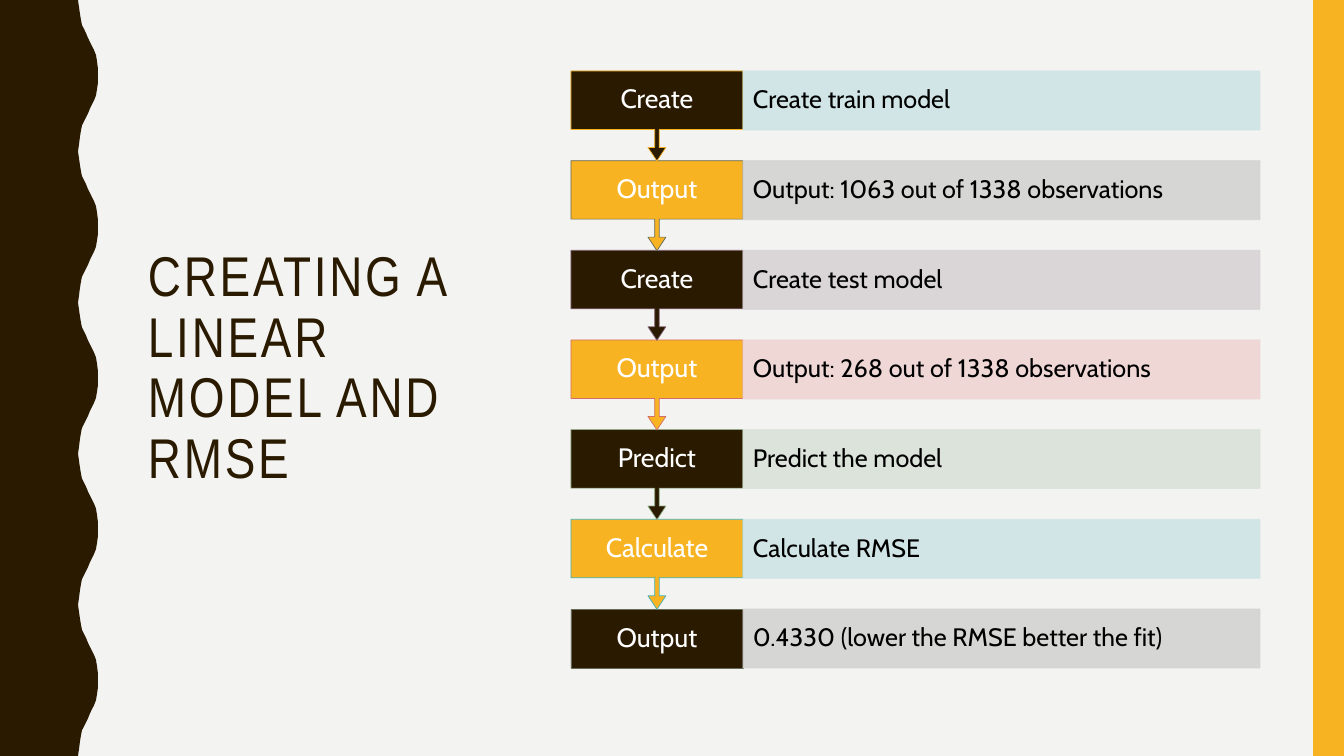
"""Build the slide on the steps from a linear model to its RMSE."""
from lxml import etree
from pptx import Presentation
from pptx import util as u
from pptx.dml.color import RGBColor
from pptx.enum import shapes, text
from pptx.oxml import ns

WIDE, HIGH = 1344, 756
EMU = 12192000 / WIDE

PAPER = RGBColor(0xF3, 0xF3, 0xF2)
BROWN = RGBColor(0x2A, 0x1A, 0x00)
GOLD = RGBColor(0xF8, 0xB3, 0x23)
WHITE = RGBColor(0xFF, 0xFF, 0xFF)
BLACK = RGBColor(0x00, 0x00, 0x00)
OLIVE = RGBColor(0x65, 0x6A, 0x59)
PLUM = RGBColor(0x82, 0x62, 0x76)
ROSE = RGBColor(0xD3, 0x6F, 0x68)
GREEN = RGBColor(0x8C, 0xAA, 0x7E)
TEAL = RGBColor(0x46, 0xB2, 0xB5)
PALE_BLUE = RGBColor(0xCF, 0xE4, 0xE5)
PALE_GREY = RGBColor(0xD3, 0xD4, 0xD1)
PALE_PLUM = RGBColor(0xD8, 0xD3, 0xD6)
PALE_ROSE = RGBColor(0xEF, 0xD5, 0xD4)
PALE_GREEN = RGBColor(0xDA, 0xE2, 0xD8)

STEPS = [
    ("Create", "Create train model", GOLD, PALE_BLUE),
    ("Output", "Output: 1063 out of 1338 observations", OLIVE, PALE_GREY),
    ("Create", "Create test model", PLUM, PALE_PLUM),
    ("Output", "Output: 268 out of 1338 observations", ROSE, PALE_ROSE),
    ("Predict", "Predict the model", GREEN, PALE_GREEN),
    ("Calculate", "Calculate RMSE", TEAL, PALE_BLUE),
    ("Output", "0.4330 (lower the RMSE better the fit)", OLIVE, PALE_GREY),
]
TOP, LAST = 71, 609
LEFT, SPLIT, RIGHT = 571, 743, 1260
BOX, CALL = 59, 90
ARROW = (0.05, 0.1, 0.15, 0.65)

WAVE_X = (78, 79, 80, 81, 82, 84, 86, 88, 90, 92, 94, 96, 97, 98, 98)
WAVE_Y = (0, 7, 14, 20, 25, 29, 33, 38, 42, 46, 50, 55, 61, 69, 76)
HALVES = 10


def px(num):
    """Turn pixels into EMU."""
    return u.Emu(round(num * EMU))


def paint(shape, fill, line=None):
    """Set the fill and outline of a shape and drop its shadow."""
    shape.shadow.inherit = False
    shape.fill.solid()
    shape.fill.fore_color.rgb = fill
    if line is None:
        shape.line.fill.background()
    else:
        shape.line.color.rgb = line
        shape.line.width = u.Pt(0.5)


def fade(shape):
    """Make the fill and outline of a shape 90% opaque."""
    for clr in shape.fill._xPr.iter(ns.qn("a:srgbClr")):
        etree.SubElement(clr, ns.qn("a:alpha"), val="90000")


def add_block(slide, kind, left, top, width, high, fill, line=None):
    """Add a painted preset shape."""
    shape = slide.shapes.add_shape(kind, px(left), px(top), px(width), px(high))
    paint(shape, fill, line)
    return shape


def write(shape, words, face, size, color, align, side):
    """Write one paragraph, centred from top to bottom."""
    frame = shape.text_frame
    frame.text = words
    frame.word_wrap = True
    frame.auto_size = text.MSO_AUTO_SIZE.NONE
    frame.vertical_anchor = text.MSO_ANCHOR.MIDDLE
    frame.margin_left = frame.margin_right = px(side)
    frame.margin_top = frame.margin_bottom = 0
    para = frame.paragraphs[0]
    para.alignment = align
    para.line_spacing = 0.9
    para.font.name = face
    para.font.size = u.Pt(size)
    para.font.color.rgb = color


def add_wave(slide):
    """Add the wavy band along the left edge."""
    points = []
    for half in range(HALVES):
        edge = WAVE_X if half % 2 == 0 else WAVE_X[::-1]
        start = half * HIGH / HALVES
        points += [(px(x), px(min(start + y, HIGH))) for x, y in zip(edge, WAVE_Y)]
    form = slide.shapes.build_freeform(0, 0)
    form.add_line_segments(points + [(0, px(HIGH))], close=True)
    paint(form.convert_to_shape(), BROWN)


def set_title(slide):
    """Place and fill the title."""
    title = slide.shapes.title
    title.left, title.top = px(138), px(71)
    title.width, title.height = px(373), px(597)
    write(title, "CREATING A LINEAR MODEL AND RMSE", "Arial Narrow", 40,
          BROWN, text.PP_ALIGN.LEFT, 10)
    title.text_frame.paragraphs[0].runs[0].font._element.set("spc", "200")


def add_step(slide, rank):
    """Add the label and the bar of one step."""
    label, words, line, tint = STEPS[rank]
    end = len(STEPS) - 1
    top = TOP + rank * (LAST - TOP) / end
    fill = GOLD if rank % 2 else BROWN
    kind = shapes.MSO_SHAPE.DOWN_ARROW_CALLOUT
    high = CALL
    if rank == end:
        kind, high = shapes.MSO_SHAPE.RECTANGLE, BOX
    head = add_block(slide, kind, LEFT, top, SPLIT - LEFT, high, fill, line)
    if rank < end:
        for spot, part in enumerate(ARROW):
            head.adjustments[spot] = part
    write(head, label, "Cabin", 19, WHITE, text.PP_ALIGN.CENTER, 12)
    bar = add_block(slide, shapes.MSO_SHAPE.RECTANGLE, SPLIT, top,
                    RIGHT - SPLIT, BOX, tint, tint)
    fade(bar)
    write(bar, words, "Cabin", 18, BLACK, text.PP_ALIGN.LEFT, 10)


def main():
    """Build and save the slide."""
    deck = Presentation()
    deck.slide_width, deck.slide_height = px(WIDE), px(HIGH)
    slide = deck.slides.add_slide(deck.slide_layouts[5])
    slide.background.fill.solid()
    slide.background.fill.fore_color.rgb = PAPER
    add_wave(slide)
    add_block(slide, shapes.MSO_SHAPE.RECTANGLE, 1313, 0, WIDE - 1313, HIGH, GOLD)
    set_title(slide)
    for rank in reversed(range(len(STEPS))):
        add_step(slide, rank)
    deck.save("out.pptx")


if __name__ == "__main__":
    main()
